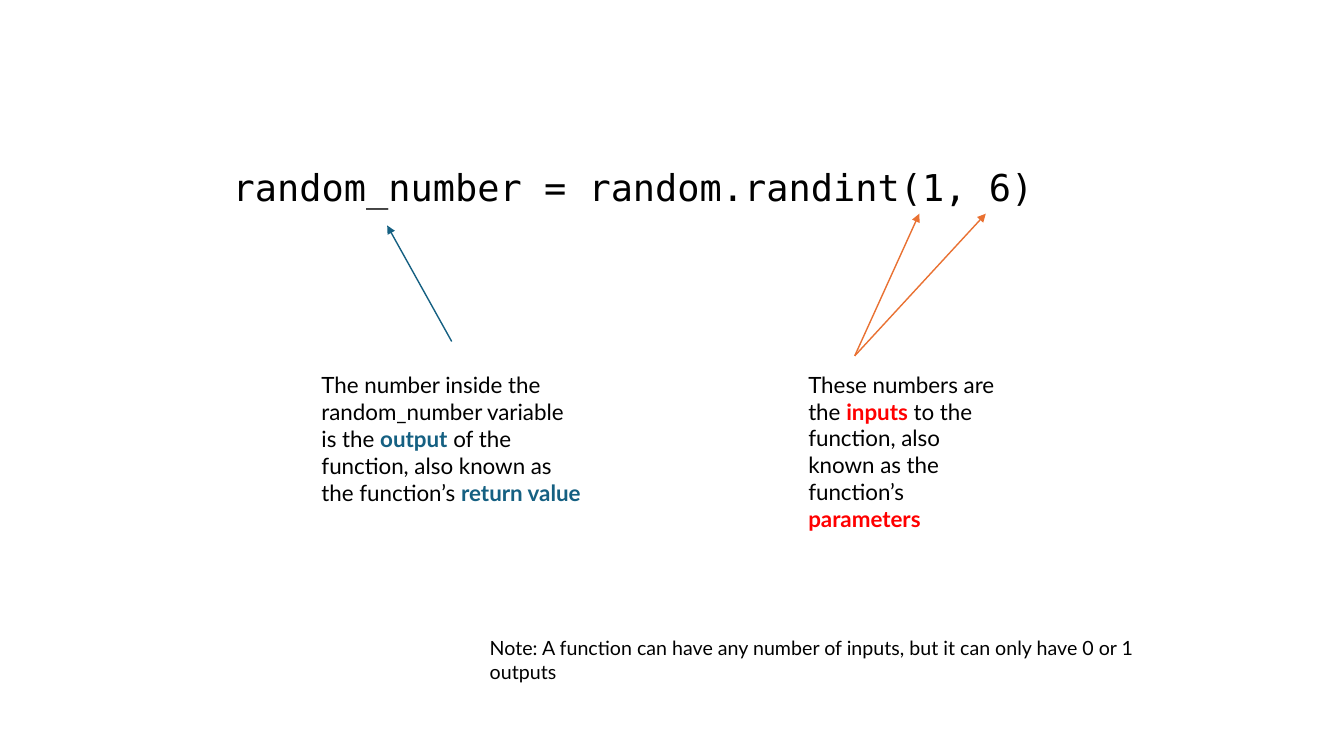
import pptx
import pptx.dml.color
import pptx.enum.shapes
import pptx.enum.text
import pptx.oxml
import pptx.oxml.ns
import pptx.util

WIDE, HIGH = pptx.util.Inches(13.33), pptx.util.Inches(7.5)
HUES = {"ink": "000000", "blue": "156082", "red": "FF0000", "orange": "E97132"}
MONO, SANS = "DejaVu Sans Mono", "Lato"


def hue(name):
    return pptx.dml.color.RGBColor.from_string(HUES[name])


def place(x, y):
    """Turn percent shares of the slide's width and height into lengths."""
    return round(WIDE * x / 100), round(HIGH * y / 100)


def write(slide, box, parts, size, font):
    """Write (text, colour) parts as one paragraph; coloured parts are bold."""
    left, top, width, height = box
    area = slide.shapes.add_textbox(*place(left, top), *place(width, height))
    frame = area.text_frame
    frame.word_wrap = True
    para = frame.paragraphs[0]
    for text, tone in parts:
        run = para.add_run()
        run.text = text
        run.font.name = font
        run.font.size = pptx.util.Pt(size)
        run.font.bold = tone != "ink"
        run.font.color.rgb = hue(tone)
    return frame


def code_line(slide, box, text):
    frame = write(slide, box, [(text, "ink")], 26.4, MONO)
    frame.vertical_anchor = pptx.enum.text.MSO_ANCHOR.MIDDLE
    frame.paragraphs[0].line_spacing = 0.7


def remark(slide, box, parts, size):
    frame = write(slide, box, parts, size, SANS)
    frame.auto_size = pptx.enum.text.MSO_AUTO_SIZE.SHAPE_TO_FIT_TEXT
    frame.paragraphs[0].space_after = pptx.util.Pt(6)


def arrow(slide, start, tip, tone):
    link = slide.shapes.add_connector(
        pptx.enum.shapes.MSO_CONNECTOR.STRAIGHT, *place(*start), *place(*tip))
    link.line.color.rgb = hue(tone)
    link.line.width = pptx.util.Pt(1)
    head = pptx.oxml.parse_xml(
        '<a:tailEnd %s type="triangle"/>' % pptx.oxml.ns.nsdecls("a"))
    link.line._get_or_add_ln().append(head)
    link._element.spPr.append(pptx.oxml.parse_xml(
        "<a:effectLst %s/>" % pptx.oxml.ns.nsdecls("a")))


def callout(slide, box, parts, start, tips, tone):
    """Place a remark and its arrows; arrow points count from the box corner."""
    left, top = box[:2]
    for x, y in tips:
        arrow(slide, (left + start[0], top + start[1]), (left + x, top + y), tone)
    remark(slide, box, parts, 16)


def main():
    deck = pptx.Presentation()
    deck.slide_width, deck.slide_height = WIDE, HIGH
    slide = deck.slides.add_slide(deck.slide_layouts[6])

    code_line(slide, (16.58, 22.6, 64.9, 5.73), "random_number = random.randint(1, 6)")

    callout(slide, (59.4, 48.4, 16, 19.33), [
        ("These numbers are the ", "ink"),
        ("inputs", "red"),
        (" to the function, also known as the function’s ", "ink"),
        ("parameters", "red"),
    ], (4.2, -1.33), [(9, -20.13), (13.95, -20.13)], "orange")

    callout(slide, (23.18, 48.5, 20.93, 19.33), [
        ("The number inside the random_number variable is the ", "ink"),
        ("output", "blue"),
        (" of the function, also known as the function’s ", "ink"),
        ("return value", "blue"),
    ], (10.43, -3.33), [(5.63, -18.67)], "blue")

    remark(slide, (35.7, 83.47, 51.4, 4.53), [
        ("Note: A function can have any number of inputs, "
         "but it can only have 0 or 1 outputs", "ink"),
    ], 14)

    deck.save("out.pptx")


if __name__ == "__main__":
    main()
